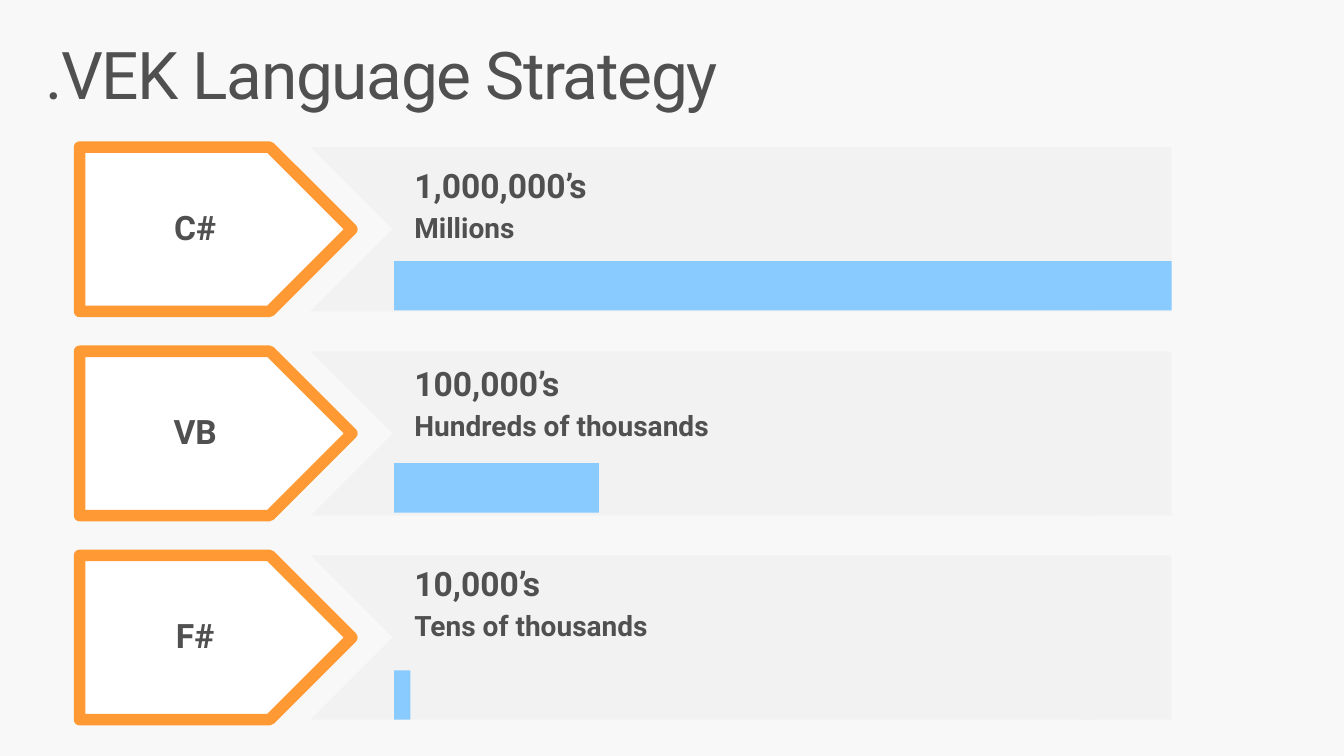
from pptx import Presentation
from pptx.dml.color import RGBColor
from pptx.enum.shapes import MSO_SHAPE
from pptx.enum.text import MSO_ANCHOR, PP_ALIGN
from pptx.oxml.xmlchemy import OxmlElement
from pptx.util import Inches, Pt

PAPER = RGBColor(0xF8, 0xF8, 0xF8)
INK = RGBColor(0x50, 0x50, 0x50)
WHITE = RGBColor(0xFF, 0xFF, 0xFF)
ORANGE = RGBColor(0xFF, 0x99, 0x33)
GRAY = RGBColor(0xF2, 0xF2, 0xF2)
BLUE = RGBColor(0x89, 0xCB, 0xFF)
FONT = "Roboto"

# Name, count, words, text offset, bar offset, bar width
ROWS = [
    ("C#", "1,000,000’s", "Millions", 0.06, 1.13, 7.71),
    ("VB", "100,000’s", "Hundreds of thousands", 0, 1.11, 2.03),
    ("F#", "10,000’s", "Tens of thousands", -0.04, 1.14, 0.16),
]


def add_block(slide, kind, box, fill):
    block = slide.shapes.add_shape(kind, *map(Inches, box))
    block.shadow.inherit = False
    block.fill.solid()
    block.fill.fore_color.rgb = fill
    block.line.fill.background()
    return block


def set_text(frame, lines, sizes, bold=True, side=0.2, edge=0.16, after=0):
    frame.word_wrap = True
    frame.margin_left = frame.margin_right = Inches(side)
    frame.margin_top = frame.margin_bottom = Inches(edge)
    frame.text = "\n".join(lines)
    for para, size in zip(frame.paragraphs, sizes):
        para.line_spacing = 0.9
        para.space_after = Pt(after)
        font = para.runs[0].font
        font.name = FONT
        font.size = Pt(size)
        font.bold = bold
        font.color.rgb = INK


def add_title(slide, box, text):
    frame = slide.shapes.add_textbox(*map(Inches, box)).text_frame
    set_text(frame, [text], [47], bold=False, side=0.16, edge=0.1)
    # Tighten the letters by one point
    frame.paragraphs[0].runs[0].font._element.set("spc", "-100")


def add_row(slide, box, row):
    left, top, width, height = box
    name, count, words, drop, fall, reach = row
    right = left + width

    # Language tag with rounded corners on its outline
    tag = add_block(slide, MSO_SHAPE.PENTAGON, (left, top, 2.7, height), WHITE)
    tag.line.color.rgb = ORANGE
    tag.line.width = Pt(8.25)
    tag.line._get_or_add_ln().append(OxmlElement("a:round"))
    set_text(tag.text_frame, [name], [24])
    tag.text_frame.vertical_anchor = MSO_ANCHOR.MIDDLE
    tag.text_frame.paragraphs[0].alignment = PP_ALIGN.CENTER

    # Gray band, squared off at its right end
    start = left + 2.29
    add_block(slide, MSO_SHAPE.CHEVRON, (start, top, right - start, height), GRAY)
    add_block(slide, MSO_SHAPE.RECTANGLE, (right - 0.86, top, 0.86, height), GRAY)

    # Count, words and bar
    inner = left + 3.12
    note = slide.shapes.add_textbox(
        *map(Inches, (inner, top + drop, 4.96, 1.07)))
    set_text(note.text_frame, [count, words], [24, 20], after=6)
    add_block(slide, MSO_SHAPE.RECTANGLE, (inner, top + fall, reach, 0.49), BLUE)


def main():
    deck = Presentation()
    deck.slide_width, deck.slide_height = Inches(13.33), Inches(7.5)
    slide = deck.slides.add_slide(deck.slide_layouts[6])
    slide.background.fill.solid()
    slide.background.fill.fore_color.rgb = PAPER

    add_title(slide, (0.29, 0.32, 7.23, 0.98), ".VEK Language Strategy")
    pitch = 4.05 / 2
    for i, row in enumerate(ROWS):
        add_row(slide, (0.79, 1.46 + pitch * i, 10.83, 1.63), row)
    deck.save("out.pptx")


if __name__ == "__main__":
    main()
